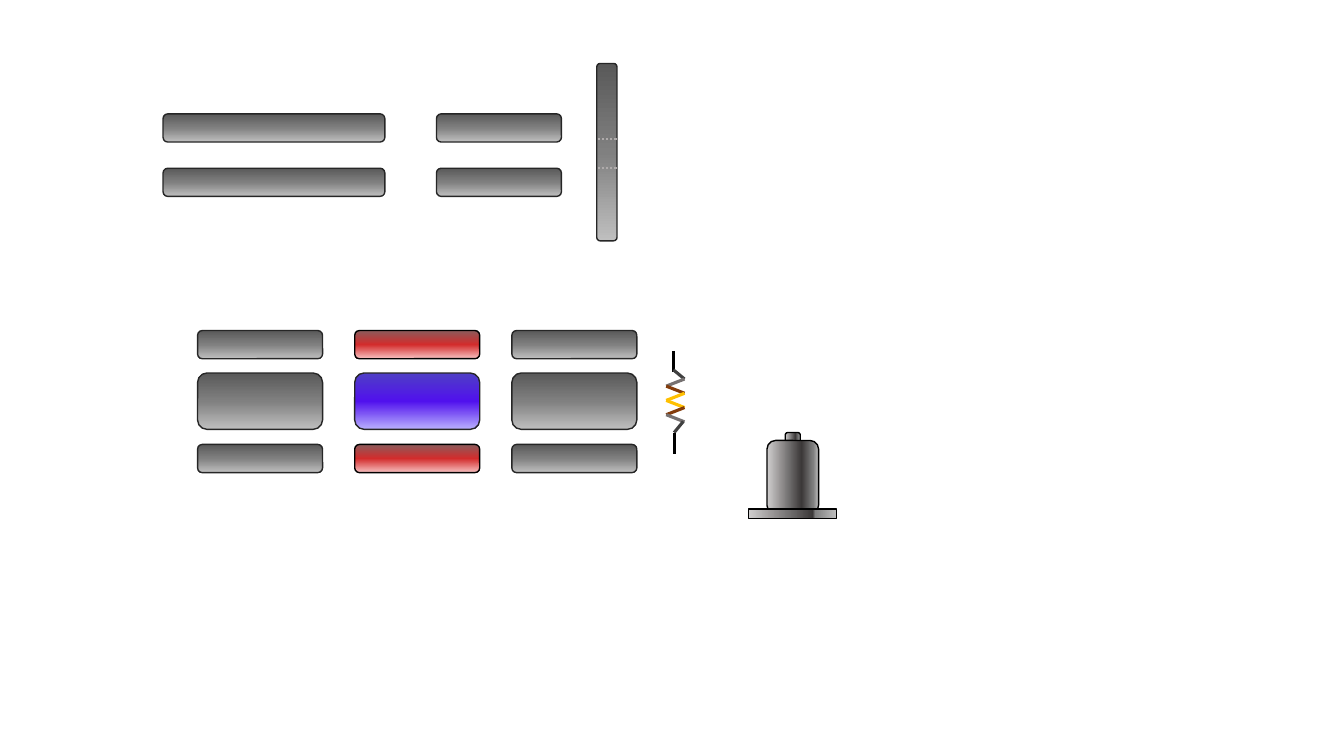
"""Builds a slide of shaded electrode plates, a resistor coil and a canister."""
from dataclasses import dataclass
from itertools import pairwise

from lxml.etree import SubElement
from pptx import Presentation
from pptx.dml.color import RGBColor
from pptx.enum.dml import MSO_LINE
from pptx.enum.shapes import MSO_CONNECTOR, MSO_SHAPE
from pptx.oxml.ns import qn
from pptx.shapes.shapetree import GroupShapes, SlideShapes
from pptx.util import Cm, Pt

BLACK = RGBColor(0x00, 0x00, 0x00)
CHARCOAL = RGBColor(0x26, 0x26, 0x26)
GRAPHITE = RGBColor(0x40, 0x40, 0x40)
SLATE = RGBColor(0x59, 0x59, 0x59)
GRAY = RGBColor(0x80, 0x80, 0x80)
SILVER = RGBColor(0xBF, 0xBF, 0xBF)
WARM_GRAY = RGBColor(0x76, 0x71, 0x71)
DOT_GRAY = RGBColor(0xAF, 0xAB, 0xAB)
PALE_STEEL = RGBColor(0xD0, 0xCE, 0xCE)
DARK_STEEL = RGBColor(0x3B, 0x38, 0x38)
DULL_RED = RGBColor(0x8B, 0x5B, 0x5B)
RED = RGBColor(0xD2, 0x2C, 0x2C)
PINK = RGBColor(0xF7, 0xBF, 0xBF)
DULL_BLUE = RGBColor(0x4F, 0x3F, 0xC5)
BLUE = RGBColor(0x50, 0x11, 0xED)
LILAC = RGBColor(0xB9, 0xB0, 0xFE)
BROWN = RGBColor(0x84, 0x3C, 0x0B)
AMBER = RGBColor(0xFF, 0xC0, 0x00)


@dataclass(frozen=True)
class Finish:
    """Gradient stops in percent, gradient angle and outline colour."""

    stops: tuple[tuple[int, RGBColor], ...]
    angle: int = 270
    outline: RGBColor = CHARCOAL


@dataclass(frozen=True)
class Plate:
    """A shaded part, measured in centimetres."""

    left: float
    top: float
    width: float
    height: float
    finish: Finish
    outline_shape: MSO_SHAPE = MSO_SHAPE.ROUNDED_RECTANGLE


@dataclass(frozen=True)
class Wire:
    """A straight line between two points in centimetres."""

    start: tuple[float, float]
    end: tuple[float, float]
    color: RGBColor
    weight: float = 2.25
    dash: MSO_LINE | None = None


METAL = Finish(((0, SLATE), (50, GRAY), (100, SILVER)))
HOT = Finish(((0, DULL_RED), (50, RED), (100, PINK)), outline=BLACK)
COLD = Finish(((0, DULL_BLUE), (50, BLUE), (100, LILAC)))
STEEL = Finish(((0, PALE_STEEL), (67, DARK_STEEL), (90, GRAY), (100, SILVER)), 0, BLACK)
BASE_STEEL = Finish(((0, PALE_STEEL), (73, DARK_STEEL), (76, GRAY), (100, SILVER)), 0, BLACK)

THIN, THICK = 0.71, 1.42
SHORT, LONG = 3.15, 5.59


def draw_plate(shapes: SlideShapes, plate: Plate) -> None:
    """Draw one part with its gradient and outline."""
    body = shapes.add_shape(
        plate.outline_shape, Cm(plate.left), Cm(plate.top), Cm(plate.width), Cm(plate.height)
    )
    body.shadow.inherit = False
    body.fill.gradient()
    body.fill.gradient_angle = plate.finish.angle
    stop_list = body.element.spPr.find(qn("a:gradFill")).find(qn("a:gsLst"))
    stop_list.clear()
    for percent, color in plate.finish.stops:
        stop = SubElement(stop_list, qn("a:gs"), pos=str(percent * 1000))
        SubElement(stop, qn("a:srgbClr"), val=str(color))
    body.line.color.rgb = plate.finish.outline
    body.line.width = Pt(1)


def draw_wire(shapes: SlideShapes | GroupShapes, wire: Wire) -> None:
    """Draw one line without a shadow."""
    segment = shapes.add_connector(
        MSO_CONNECTOR.STRAIGHT, *(Cm(value) for value in wire.start + wire.end)
    )
    segment.line.color.rgb = wire.color
    segment.line.width = Pt(wire.weight)
    if wire.dash is not None:
        segment.line.dash_style = wire.dash
    SubElement(segment.element.spPr, qn("a:effectLst"))


def draw_lenses(shapes: SlideShapes) -> None:
    """Draw the upper plate pairs and the slotted upright plate."""
    for left, width in ((4.11, LONG), (11, SHORT)):
        for top in (2.87, 4.24):
            draw_plate(shapes, Plate(left, top, width, THIN, METAL))
    draw_plate(shapes, Plate(15.04, 1.6, 0.51, 4.47, METAL))
    for height in (3.51, 4.24):
        draw_wire(shapes, Wire((15.06, height), (15.57, height), DOT_GRAY, 1.5, MSO_LINE.ROUND_DOT))


def draw_stack(shapes: SlideShapes) -> None:
    """Draw the three columns with a coloured middle one."""
    for column, (outer, inner) in enumerate(((METAL, METAL), (HOT, COLD), (METAL, METAL))):
        left = 4.98 + 3.96 * column
        for top, height, finish in ((8.33, THIN, outer), (9.4, THICK, inner), (11.2, THIN, outer)):
            draw_plate(shapes, Plate(left, top, SHORT, height, finish))


def draw_resistor(shapes: SlideShapes) -> None:
    """Draw the zigzag coil between its two leads as one group."""
    coil = shapes.add_group_shape().shapes
    bends = [(17.25 if turn % 2 == 0 else 16.79, 9.55 + 0.18 * turn) for turn in range(7)]
    turn_colors = (WARM_GRAY, BROWN, AMBER, AMBER, BROWN, WARM_GRAY)
    wires = [
        Wire((16.97, 8.84), (16.97, 9.37), BLACK),
        Wire((16.97, 9.32), bends[0], GRAPHITE),
        *(Wire(start, end, color) for (start, end), color in zip(pairwise(bends), turn_colors)),
        Wire((17.22, 10.62), (16.99, 10.9), GRAPHITE),
        Wire((16.99, 10.9), (16.99, 11.43), BLACK),
    ]
    for wire in wires:
        draw_wire(coil, wire)


def draw_canister(shapes: SlideShapes) -> None:
    """Draw the cap, body and base from back to front."""
    for part in (
        Plate(19.79, 10.9, 0.38, 0.56, STEEL),
        Plate(19.33, 11.1, 1.3, 1.85, STEEL),
        Plate(18.87, 12.83, 2.21, 0.23, BASE_STEEL, MSO_SHAPE.RECTANGLE),
    ):
        draw_plate(shapes, part)


def main() -> None:
    """Assemble and save the slide."""
    deck = Presentation()
    deck.slide_width, deck.slide_height = Cm(33.87), Cm(19.05)
    shapes = deck.slides.add_slide(deck.slide_layouts[6]).shapes
    draw_lenses(shapes)
    draw_stack(shapes)
    draw_resistor(shapes)
    draw_canister(shapes)
    deck.save("out.pptx")


main()
